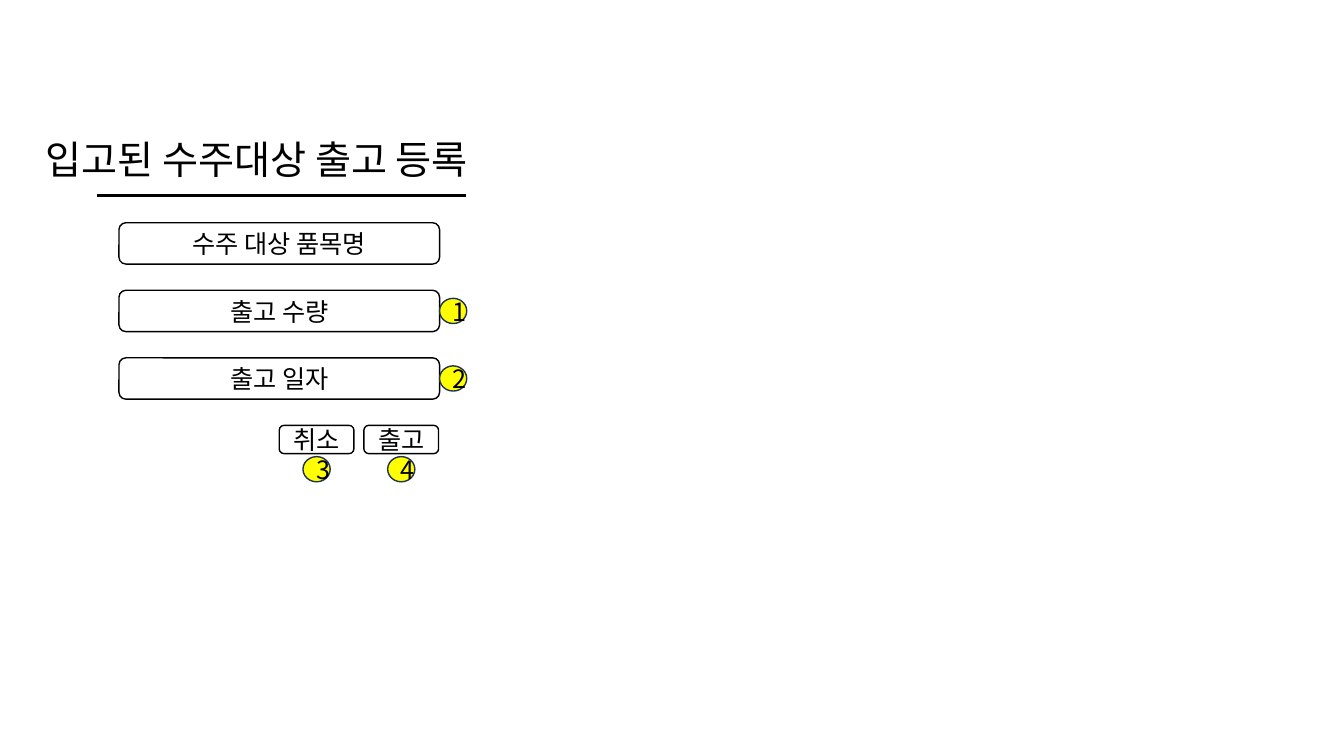
from lxml.etree import SubElement
from pptx import Presentation
from pptx.dml.color import RGBColor
from pptx.enum.shapes import MSO_CONNECTOR, MSO_SHAPE
from pptx.enum.text import MSO_ANCHOR, MSO_AUTO_SIZE, PP_ALIGN
from pptx.oxml.ns import qn
from pptx.util import Inches, Pt

HEADING = "입고된 수주대상 출고 등록"
FIELDS = [("수주 대상 품목명", None), ("출고 수량", "1"), ("출고 일자", "2")]
BUTTONS = [("취소", "3"), ("출고", "4")]

FONT = "Noto Sans CJK KR"
COLORS = {"ink": "000000", "paper": "FFFFFF", "badge": "FFFF00", "badge_edge": "1E3256"}

FIELD_LEFT, FIELD_TOP, FIELD_W, FIELD_H, FIELD_STEP = 1.18, 2.21, 3.18, 0.41, 0.67
BUTTON_LEFT, BUTTON_TOP, BUTTON_W, BUTTON_H, BUTTON_STEP = 2.77, 4.22, 0.74, 0.28, 0.84
BADGE_W, BADGE_H, BADGE_GAP = 0.27, 0.25, 0.03


def color(key):
    return RGBColor.from_string(COLORS[key])


def write(frame, text, size, align):
    paragraph = frame.paragraphs[0]
    paragraph.alignment = align
    run = paragraph.add_run()
    run.text = text
    run.font.size = Pt(size)
    run.font.name = FONT
    run.font.color.rgb = color("ink")
    SubElement(run.font._element, qn("a:ea"), typeface=FONT)


def add_label(slide, kind, box, text, fill, edge):
    label = slide.shapes.add_shape(kind, *(Inches(v) for v in box))
    label.shadow.inherit = False
    label.fill.solid()
    label.fill.fore_color.rgb = color(fill)
    label.line.color.rgb = color(edge)
    label.line.width = Pt(1)
    label.text_frame.vertical_anchor = MSO_ANCHOR.MIDDLE
    write(label.text_frame, text, 18, PP_ALIGN.CENTER)


def add_box(slide, box, text):
    add_label(slide, MSO_SHAPE.ROUNDED_RECTANGLE, box, text, "paper", "ink")


def add_badge(slide, left, top, number):
    add_label(slide, MSO_SHAPE.OVAL, (left, top, BADGE_W, BADGE_H), number, "badge", "badge_edge")


def add_heading(slide):
    heading = slide.shapes.title
    heading.left, heading.top = Inches(0.35), Inches(1.29)
    heading.width, heading.height = Inches(7.6), Inches(0.57)
    frame = heading.text_frame
    frame.word_wrap = True
    frame.auto_size = MSO_AUTO_SIZE.SHAPE_TO_FIT_TEXT
    frame.vertical_anchor = MSO_ANCHOR.TOP
    write(frame, HEADING, 28, PP_ALIGN.LEFT)

    rule = slide.shapes.add_connector(
        MSO_CONNECTOR.STRAIGHT, Inches(0.96), Inches(1.94), Inches(4.62), Inches(1.94))
    rule.line.color.rgb = color("ink")
    rule.line.width = Pt(1.5)
    SubElement(rule._element.spPr, qn("a:effectLst"))


def main():
    deck = Presentation()
    deck.slide_width, deck.slide_height = Inches(13.33), Inches(7.5)
    slide = deck.slides.add_slide(deck.slide_layouts[5])
    add_heading(slide)

    for row, (field, number) in enumerate(FIELDS):
        top = FIELD_TOP + row * FIELD_STEP
        add_box(slide, (FIELD_LEFT, top, FIELD_W, FIELD_H), field)
        if number:
            add_badge(slide, FIELD_LEFT + FIELD_W, top + (FIELD_H - BADGE_H) / 2, number)

    for column, (button, number) in enumerate(BUTTONS):
        left = BUTTON_LEFT + column * BUTTON_STEP
        add_box(slide, (left, BUTTON_TOP, BUTTON_W, BUTTON_H), button)
        add_badge(slide, left + (BUTTON_W - BADGE_W) / 2, BUTTON_TOP + BUTTON_H + BADGE_GAP, number)

    deck.save("out.pptx")


if __name__ == "__main__":
    main()
